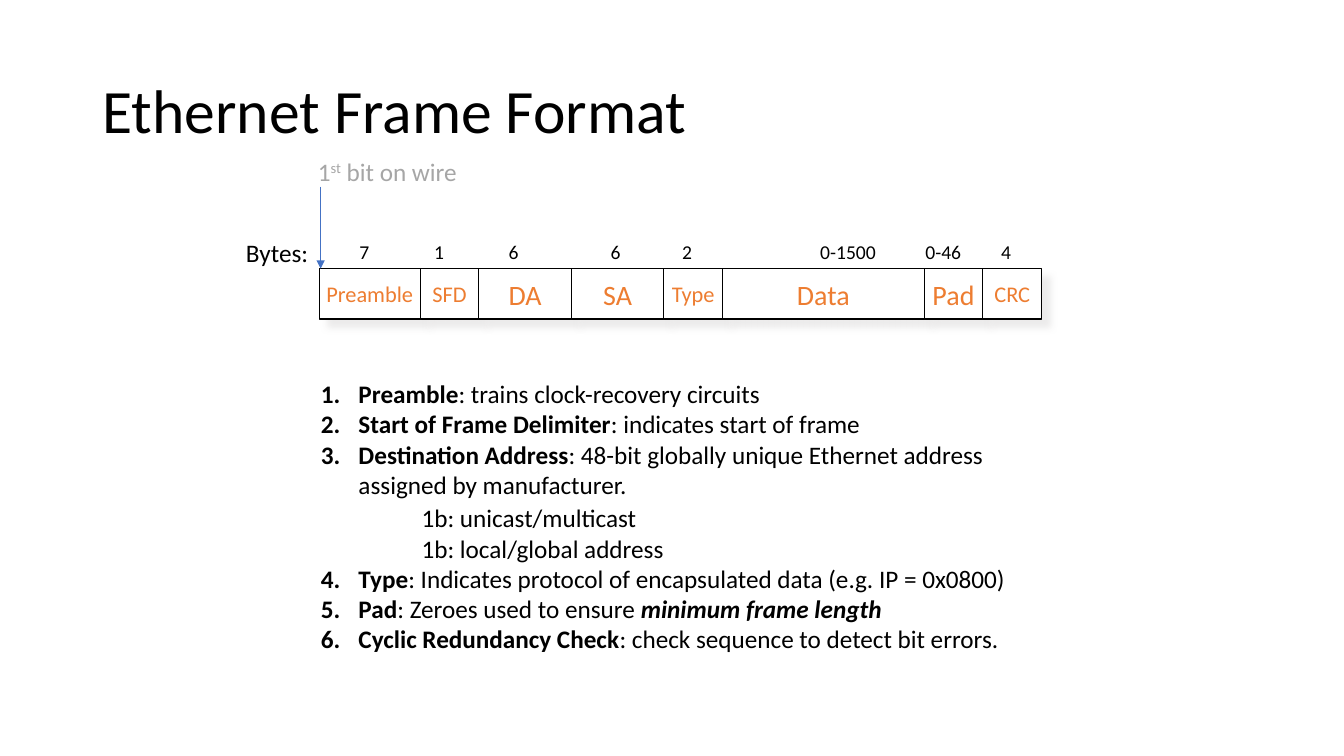
from lxml.etree import SubElement
from pptx import Presentation
from pptx.dml.color import RGBColor
from pptx.enum.shapes import MSO_CONNECTOR, MSO_SHAPE
from pptx.enum.text import MSO_ANCHOR, MSO_AUTO_SIZE, PP_ALIGN
from pptx.oxml.ns import qn
from pptx.util import Cm, Pt

BLACK = RGBColor(0x00, 0x00, 0x00)
WHITE = RGBColor(0xFF, 0xFF, 0xFF)
ORANGE = RGBColor(0xED, 0x7D, 0x31)
GREY = RGBColor(0xA6, 0xA6, 0xA6)
PALE = RGBColor(0xE7, 0xE6, 0xE6)
BLUE = RGBColor(0x44, 0x72, 0xC4)
FONT = "Calibri"

TITLE = "Ethernet Frame Format"
FRAME_LEFT, FRAME_TOP, FRAME_HEIGHT = 8.05, 6.77, 1.27
# name, width, text size, byte count, label left, label width
FIELDS = [
    ("Preamble", 2.54, 16, "7", 8.81, 0.89),
    ("SFD", 1.48, 16, "1", 10.69, 0.89),
    ("DA", 2.33, 20, "6", 12.57, 0.89),
    ("SA", 2.33, 20, "6", 15.14, 0.89),
    ("Type", 1.48, 16, "2", 16.94, 0.89),
    ("Data", 5.08, 20, "0-1500", 20.42, 2.06),
    ("Pad", 1.48, 20, "0-46", 23.07, 1.55),
    ("CRC", 1.48, 16, "4", 24.98, 0.89),
]
BOLD, PLAIN, STRONG = (True, False), (False, False), (True, True)
NOTES = [
    [("Preamble", BOLD), (": trains clock-recovery circuits", PLAIN)],
    [("Start of Frame Delimiter", BOLD), (": indicates start of frame", PLAIN)],
    [("Destination Address", BOLD),
     (": 48-bit globally unique Ethernet address\nassigned by manufacturer.\n", PLAIN),
     ("\t", PLAIN, 20), ("1b: unicast/multicast\n\t1b: local/global address", PLAIN)],
    [("Type", BOLD), (": Indicates protocol of encapsulated data (e.g. IP = 0x0800)", PLAIN)],
    [("Pad", BOLD), (": Zeroes used to ensure ", PLAIN), ("minimum frame length", STRONG)],
    [("Cyclic Redundancy Check", BOLD), (": check sequence to detect bit errors.", PLAIN)],
]


def add_span(para, text, size, color=BLACK, style=PLAIN):
    """Add one formatted run, turning newlines into line breaks."""
    for index, line in enumerate(text.split("\n")):
        if index:
            para.add_line_break()
        if line:
            span = para.add_run()
            span.text = line
            span.font.name = FONT
            span.font.size = Pt(size)
            span.font.color.rgb = color
            span.font.bold, span.font.italic = style
    return span


def place(shape, left, top, width, height):
    """Move and resize a shape, in centimetres."""
    shape.left, shape.top = Cm(left), Cm(top)
    shape.width, shape.height = Cm(width), Cm(height)


def add_label(slide, text, size, left, top, width, height, color=BLACK):
    """Add a one-line text box and return its paragraph."""
    box = slide.shapes.add_textbox(Cm(left), Cm(top), Cm(width), Cm(height))
    box.text_frame.word_wrap = True
    para = box.text_frame.paragraphs[0]
    add_span(para, text, size, color)
    return para


def add_shadow(shape):
    """Give a shape a soft pale shadow to the lower right."""
    shape.shadow.inherit = False
    effects = shape._element.spPr.find(qn("a:effectLst"))
    shadow = SubElement(effects, qn("a:outerShdw"), blurRad=str(Pt(5)), dist=str(Pt(8.5)),
                        dir="2700000", algn="ctr", rotWithShape="0")
    color = SubElement(shadow, qn("a:srgbClr"), val=str(PALE))
    SubElement(color, qn("a:alpha"), val="75000")


def add_title(slide):
    """Fill the title placeholder."""
    title = slide.shapes.title
    place(title, 2.33, 1.01, 29.21, 3.68)
    title.text_frame.vertical_anchor = MSO_ANCHOR.MIDDLE
    para = title.text_frame.paragraphs[0]
    para.alignment = PP_ALIGN.LEFT
    para.line_spacing = 0.9
    add_span(para, TITLE, 44)


def add_frame(slide):
    """Draw the row of frame fields with their byte counts."""
    group = slide.shapes.add_group_shape()
    left = FRAME_LEFT
    for name, width, size, count, label_left, label_width in FIELDS:
        cell = group.shapes.add_shape(MSO_SHAPE.RECTANGLE, Cm(left), Cm(FRAME_TOP),
                                      Cm(width), Cm(FRAME_HEIGHT))
        cell.fill.solid()
        cell.fill.fore_color.rgb = WHITE
        cell.line.color.rgb = BLACK
        cell.line.width = Pt(0.75)
        add_shadow(cell)
        cell.text_frame.word_wrap = False
        cell.text_frame.vertical_anchor = MSO_ANCHOR.MIDDLE
        para = cell.text_frame.paragraphs[0]
        para.alignment = PP_ALIGN.CENTER
        add_span(para, name, size, ORANGE)
        add_label(slide, count, 14, label_left, 5.92, label_width, 0.86)
        left += width


def add_notes(slide):
    """Fill the body placeholder with the numbered list."""
    body = slide.placeholders[1]
    place(body, 7.83, 9.41, 18.26, 7.26)
    frame = body.text_frame
    frame.word_wrap = True
    frame.auto_size = MSO_AUTO_SIZE.NONE
    frame.vertical_anchor = MSO_ANCHOR.TOP
    for index, spans in enumerate(NOTES):
        para = frame.add_paragraph() if index else frame.paragraphs[0]
        para.space_before = Pt(0)
        props = para._p.get_or_add_pPr()
        props.set("marL", str(Cm(0.95)))
        props.set("indent", str(Cm(-0.95)))
        SubElement(props, qn("a:buFont"), typeface=FONT)
        SubElement(props, qn("a:buAutoNum"), type="arabicPeriod")
        tabs = SubElement(props, qn("a:tabLst"))
        SubElement(tabs, qn("a:tab"), pos=str(Cm(2.54)), algn="l")
        para.font.size = Pt(18)
        for text, style, *size in spans:
            add_span(para, text, size[0] if size else 18, BLACK, style)


def add_first_bit(slide):
    """Mark the first bit on the wire with a label and an arrow."""
    para = add_label(slide, "1", 18, 7.76, 3.81, 4.09, 1.02, GREY)
    ordinal = add_span(para, "st", 18, GREY)
    ordinal.font._element.set("baseline", "30000")
    add_span(para, " bit on wire", 18, GREY)
    arrow = slide.shapes.add_connector(MSO_CONNECTOR.STRAIGHT, Cm(8.08), Cm(4.7),
                                       Cm(8.08), Cm(FRAME_TOP))
    arrow.line.color.rgb = BLUE
    arrow.line.width = Pt(0.5)
    SubElement(arrow.line._get_or_add_ln(), qn("a:tailEnd"), type="triangle")
    SubElement(arrow._element.spPr, qn("a:effectLst"))


def main():
    """Build the slide and save it."""
    deck = Presentation()
    deck.slide_width, deck.slide_height = Cm(33.87), Cm(19.05)
    slide = deck.slides.add_slide(deck.slide_layouts[1])
    add_title(slide)
    add_frame(slide)
    add_notes(slide)
    add_label(slide, "Bytes:", 18, 5.95, 5.86, 2.21, 1.02)
    add_first_bit(slide)
    deck.save("out.pptx")


if __name__ == "__main__":
    main()
